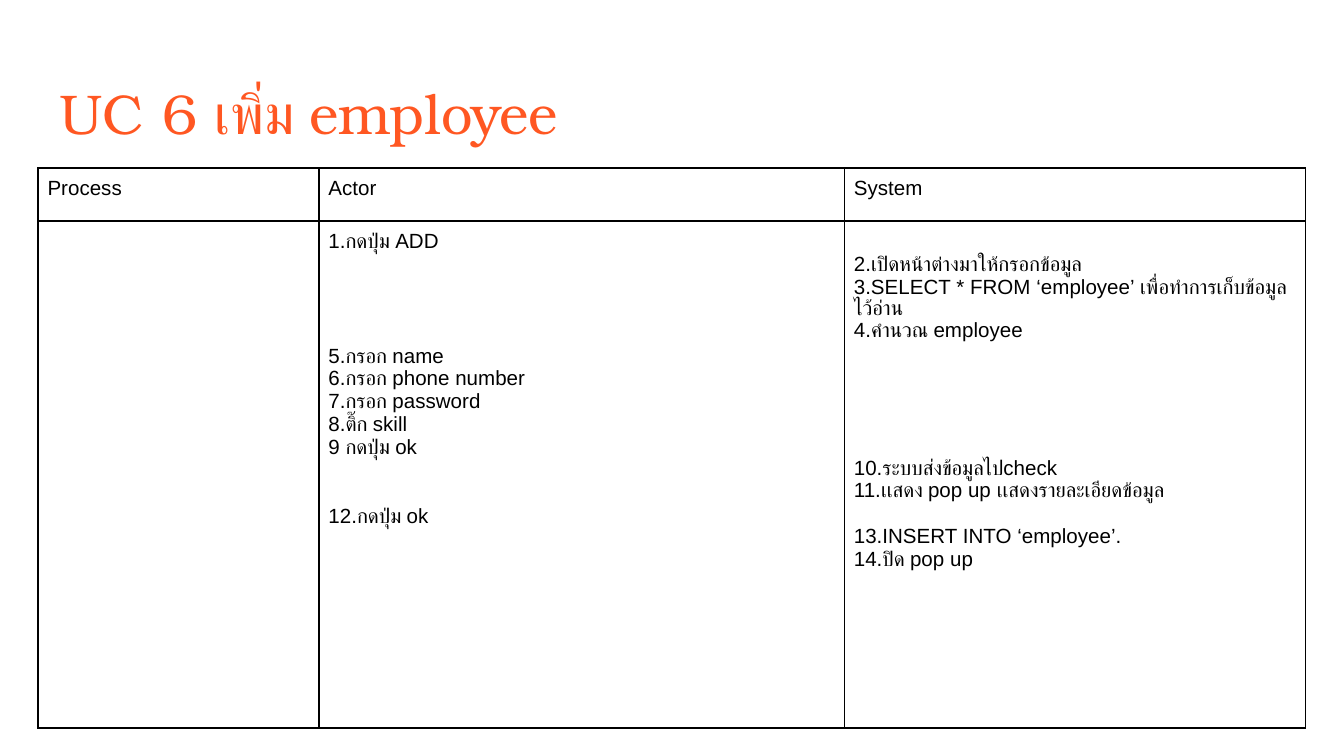
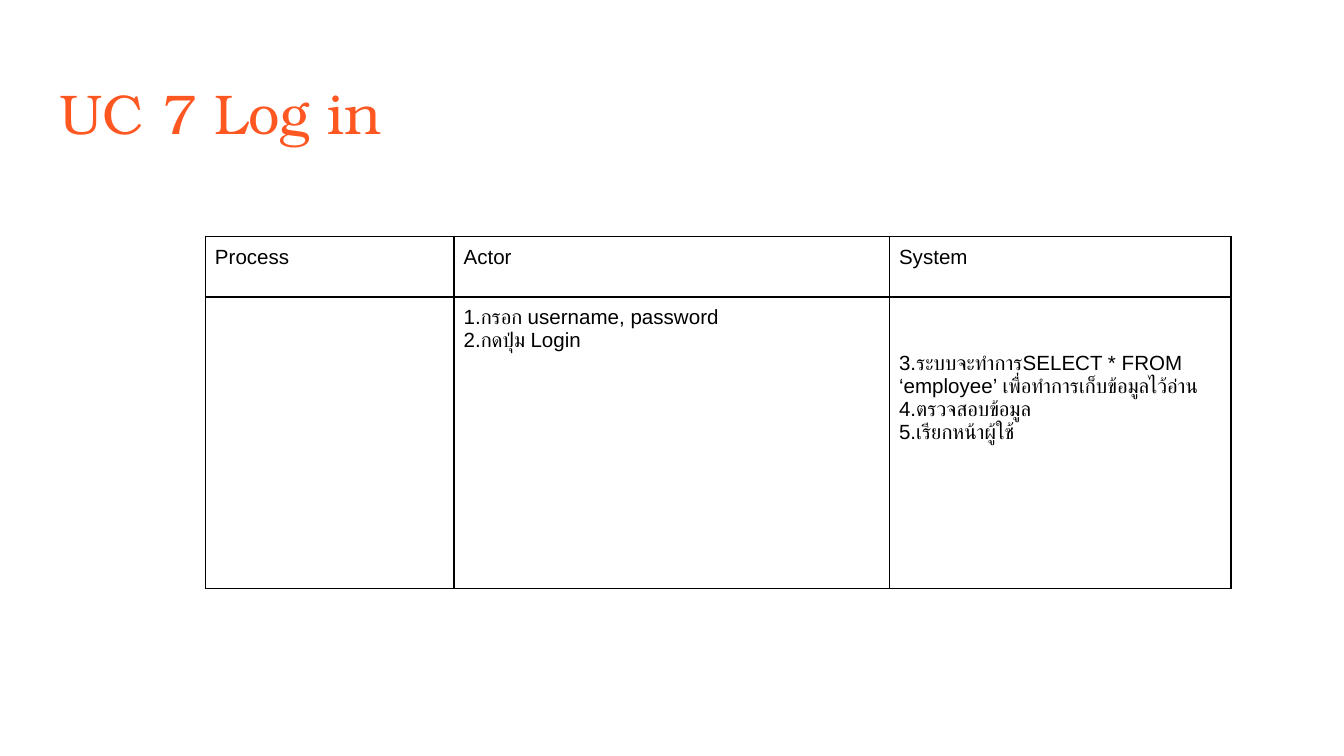
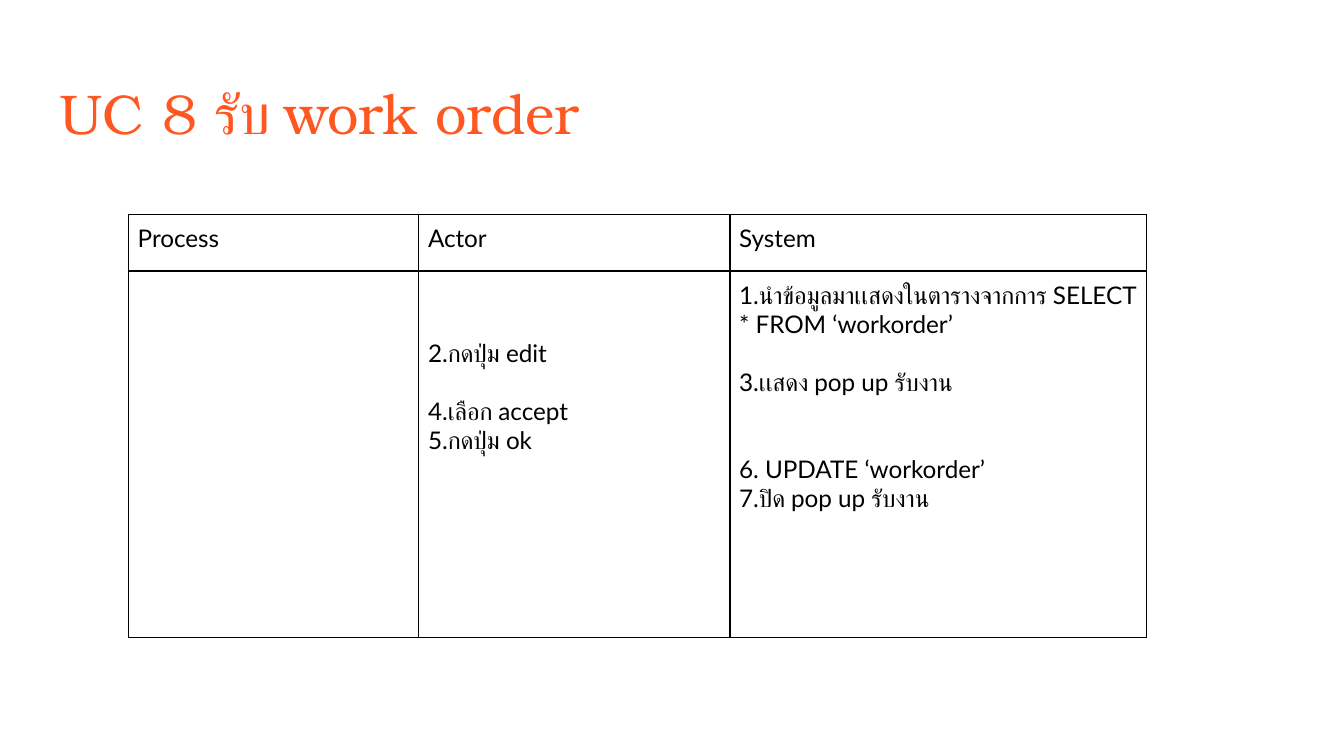
from lxml.etree import SubElement
from pptx import Presentation
from pptx.dml.color import RGBColor
from pptx.enum.text import MSO_ANCHOR, MSO_AUTO_SIZE, PP_ALIGN
from pptx.oxml.ns import qn
from pptx.util import Inches, Pt

ORANGE = RGBColor(0xFF, 0x57, 0x22)
BLACK = RGBColor(0x00, 0x00, 0x00)
WHITE = RGBColor(0xFF, 0xFF, 0xFF)

SLIDE_W = Inches(10)
SLIDE_H = SLIDE_W * 9 // 16
UNIT = SLIDE_W / 100  # side of one square of the layout grid
TITLE_FORMAT = {"name": "TeX Gyre Bonum", "size": Pt(30)}
TITLE_LEFT, TITLE_TOP, TITLE_HEIGHT = 3.4, 4.85, 36.1
CELL_MARGIN = Inches(0.07)
HEADINGS = ("Process", "Actor", "System")

# Table text styles: font, size and the height of one line
ARIAL = {"font": {"name": "Arial", "size": Pt(11)}, "line": Pt(12.25)}
LATO = {"font": {"name": "Lato", "size": Pt(13)}, "line": Pt(15.55)}

# Each step is (lines left free above it, text); table lengths are grid units
USE_CASES = [
    {
        "title": "UC 6 เพิ่ม employee", "title_width": 54.5, "style": ARIAL,
        "corner": (2.84, 12.5), "cols": (20.9, 39.1, 34.3), "rows": (3.93, 37.75),
        "actor": [(0, "1.กดปุ่ม ADD"), (4, "5.กรอก name"),
                  (0, "6.กรอก phone number"), (0, "7.กรอก password"),
                  (0, "8.ติ๊ก skill"), (0, "9 กดปุ่ม ok"), (2, "12.กดปุ่ม ok")],
        "system": [(1, "2.เปิดหน้าต่างมาให้กรอกข้อมูล"),
                   (0, "3.SELECT * FROM ‘employee’ เพื่อทำการเก็บข้อมูลไว้อ่าน"),
                   (0, "4.คำนวณ employee"), (5, "10.ระบบส่งข้อมูลไปcheck"),
                   (0, "11.เเสดง pop up เเสดงรายละเอียดข้อมูล"),
                   (1, "13.INSERT INTO ‘employee’."), (0, "14.ปิด pop up")],
    },
    {
        "title": "UC 7 Log in", "title_width": 30.8, "style": ARIAL,
        "corner": (15.3, 17.6), "cols": (18.5, 32.4, 25.4), "rows": (4.5, 21.7),
        "actor": [(0, "1.กรอก username, password"), (0, "2.กดปุ่ม Login")],
        "system": [(2, "3.ระบบจะทำการSELECT * FROM ‘employee’ เพื่อทำการเก็บข้อมูลไว้อ่าน"),
                   (0, "4.ตรวจสอบข้อมูล"), (0, "5.เรียกหน้าผู้ใช้")],
    },
    {
        "title": "UC 8 รับ work order", "title_width": 76.3, "style": LATO,
        "corner": (9.55, 15.95), "cols": (21.6, 23.15, 31), "rows": (4.2, 27.3),
        "actor": [(2, "2.กดปุ่ม edit"), (1, "4.เลือก accept"), (0, "5.กดปุ่ม ok")],
        "system": [(0, "1.นำข้อมูลมาเเสดงในตารางจากการ SELECT * FROM ‘workorder’"),
                   (1, "3.เเสดง pop up รับงาน"), (2, "6. UPDATE ‘workorder’"),
                   (0, "7.ปิด pop up รับงาน")],
    },
]


def grid(units):
    return round(units * UNIT)


def set_attrs(obj, values):
    for name, value in values.items():
        setattr(obj, name, value)


def add_run(p, text, font, color):
    r = p.add_run()
    r.text = text
    set_attrs(r.font, font)
    r.font.color.rgb = color


def even_margins(size):
    return {f"margin_{side}": size for side in ("left", "right", "top", "bottom")}


def add_title(slide, text, width):
    sp = slide.shapes.title
    set_attrs(sp, {"left": grid(TITLE_LEFT), "top": grid(TITLE_TOP),
                   "width": grid(width), "height": grid(TITLE_HEIGHT)})
    tf = sp.text_frame
    set_attrs(tf, {"word_wrap": True, "auto_size": MSO_AUTO_SIZE.NONE,
                   "vertical_anchor": MSO_ANCHOR.TOP, **even_margins(Inches(0.1))})
    p = tf.paragraphs[0]
    p.alignment = PP_ALIGN.LEFT
    add_run(p, text, TITLE_FORMAT, ORANGE)


def frame_cell(cell):
    """Give the cell black borders, even margins and no fill."""
    tcPr = cell._tc.get_or_add_tcPr()
    for side in ("lnL", "lnR", "lnT", "lnB"):
        ln = SubElement(tcPr, qn(f"a:{side}"), w=str(Pt(1)))
        fill = SubElement(ln, qn("a:solidFill"))
        SubElement(fill, qn("a:srgbClr"), val=str(BLACK))
    cell.fill.background()
    set_attrs(cell, even_margins(CELL_MARGIN))


def write_steps(cell, steps, style):
    """Write one paragraph per step; free lines become margin or spacing."""
    tf = cell.text_frame
    for i, (gap, text) in enumerate(steps):
        space = round(gap * style["line"])
        if i == 0:
            p = tf.paragraphs[0]
            cell.margin_top = CELL_MARGIN + space
        else:
            p = tf.add_paragraph()
            p.space_before = space
        add_run(p, text, style["font"], BLACK)


def add_flow_table(slide, case):
    cols, rows = case["cols"], case["rows"]
    left, top = case["corner"]
    table = slide.shapes.add_table(
        len(rows), len(cols), grid(left), grid(top),
        grid(sum(cols)), grid(sum(rows))).table
    set_attrs(table, {"first_row": False, "horz_banding": False})
    for column, width in zip(table.columns, cols):
        column.width = grid(width)
    for row, height in zip(table.rows, rows):
        row.height = grid(height)
    contents = [[(0, heading)] for heading in HEADINGS]
    contents += [[], case["actor"], case["system"]]
    for cell, steps in zip(table.iter_cells(), contents):
        frame_cell(cell)
        write_steps(cell, steps, case["style"])


def add_use_case(prs, case):
    slide = prs.slides.add_slide(prs.slide_layouts.get_by_name("Title Only"))
    add_title(slide, case["title"], case["title_width"])
    add_flow_table(slide, case)


def main():
    prs = Presentation()
    set_attrs(prs, {"slide_width": SLIDE_W, "slide_height": SLIDE_H})
    background = prs.slide_master.background.fill
    background.solid()
    background.fore_color.rgb = WHITE
    for case in USE_CASES:
        add_use_case(prs, case)
    prs.save("out.pptx")


if __name__ == "__main__":
    main()
